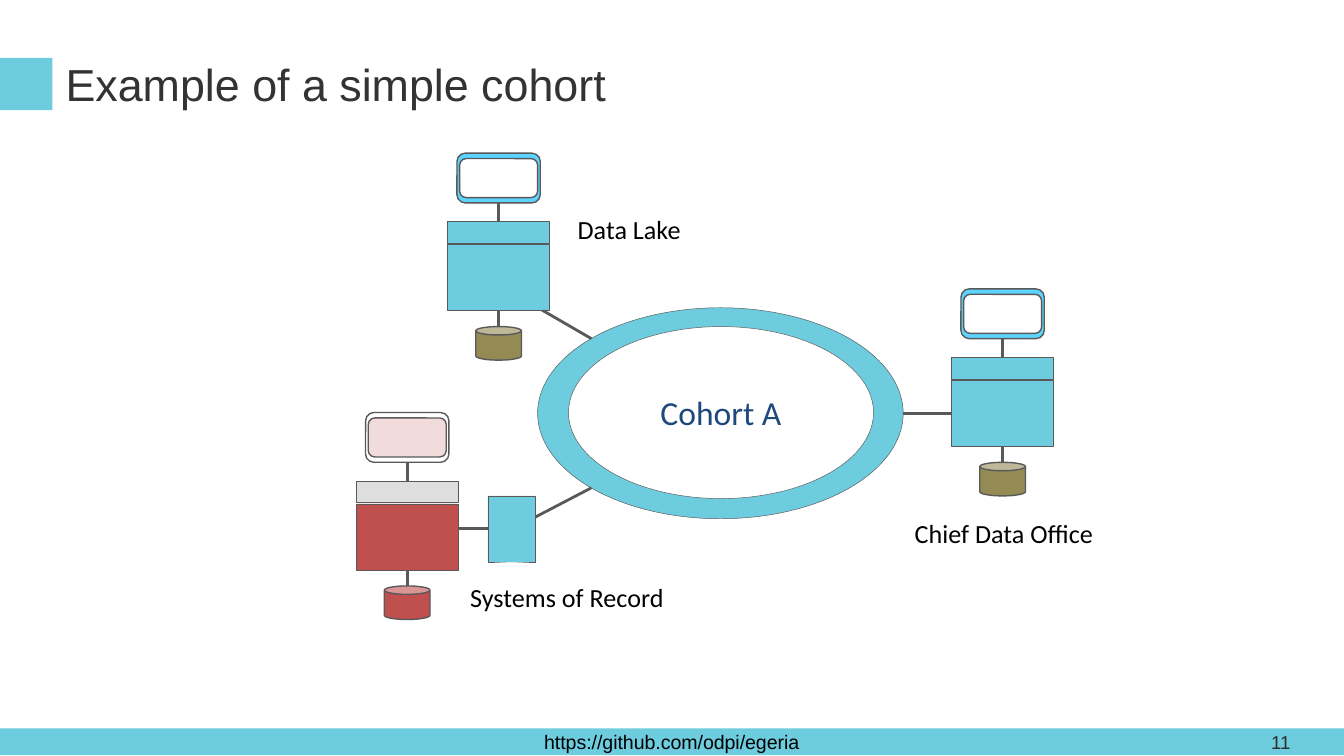
import pptx
import pptx.util
import pptx.dml.color
import pptx.enum.shapes
import pptx.enum.text
import pptx.oxml.ns
from lxml import etree

Inches = pptx.util.Inches
Pt = pptx.util.Pt
RGBColor = pptx.dml.color.RGBColor
KIND = pptx.enum.shapes.MSO_SHAPE
ALIGN = pptx.enum.text.PP_ALIGN
ANCHOR = pptx.enum.text.MSO_ANCHOR

TEAL = RGBColor(0x6D, 0xCC, 0xDE)
SKY = RGBColor(0x5D, 0xD4, 0xFF)
WHITE = RGBColor(0xFF, 0xFF, 0xFF)
BLACK = RGBColor(0, 0, 0)
GRAY = RGBColor(0x59, 0x59, 0x59)
SILVER = RGBColor(0xDE, 0xDE, 0xDE)
OLIVE = RGBColor(0x94, 0x8A, 0x54)
RED = RGBColor(0xC0, 0x50, 0x4D)
PINK = RGBColor(0xF2, 0xDC, 0xDB)
NAVY = RGBColor(0x1F, 0x49, 0x7D)
DARK = RGBColor(0x33, 0x33, 0x33)
INK = RGBColor(0x2C, 0x2C, 0x2C)

TITLE = "Example of a simple cohort"
FOOTER = "https://github.com/odpi/egeria"
NUMBER = "11"
COHORT = "Cohort A"
LABELS = [
    ("Chief Data Office", 6.64, 3.8, ALIGN.CENTER),
    ("Data Lake", 4.2, 1.54, ALIGN.LEFT),
    ("Systems of Record", 3.4, 4.28, ALIGN.LEFT),
]
LAKE = dict(left=3.33, top=1.14, frame=SKY, screen=WHITE, head=TEAL, body=TEAL, store=OLIVE)
OFFICE = dict(LAKE, left=7.08, top=2.15)
RECORD = dict(left=2.65, top=3.07, frame=WHITE, screen=PINK, head=SILVER, body=RED, store=RED)
LINKS = [((3.71, 2.12), (4.4, 2.52)), ((3.71, 3.99), (4.4, 3.63))]
WIDTH, DEPTH = 0.76, 0.49
RING = (4, 2.29, 2.72, 1.57)
PROXY = (3.63, 3.69, 0.35, DEPTH)

deck = pptx.Presentation()
deck.slide_width = Inches(10)
deck.slide_height = Inches(10) * 9 // 16
slide = deck.slides.add_slide(deck.slide_layouts[6])


def shape(kind, left, top, width, height, fill, line=None):
    item = slide.shapes.add_shape(kind, Inches(left), Inches(top), Inches(width), Inches(height))
    item.shadow.inherit = False
    item.fill.solid()
    item.fill.fore_color.rgb = fill
    if line:
        item.line.color.rgb = GRAY
        item.line.width = Pt(line)
    else:
        item.line.fill.background()
    return item


def box(left, top, width, height):
    return slide.shapes.add_textbox(Inches(left), Inches(top), Inches(width), Inches(height))


def write(item, text, size=14, font="Calibri", color=BLACK, align=ALIGN.LEFT,
          anchor=ANCHOR.TOP, inset=0.05):
    frame = item.text_frame
    frame.word_wrap = True
    frame.vertical_anchor = anchor
    frame.margin_top = frame.margin_bottom = Inches(inset)
    para = frame.paragraphs[0]
    para.alignment = align
    run = para.add_run()
    run.text = text
    run.font.size = Pt(size)
    run.font.name = font
    run.font.color.rgb = color


def link(start, end):
    wire = slide.shapes.add_connector(
        pptx.enum.shapes.MSO_CONNECTOR.STRAIGHT, *[Inches(n) for n in start + end])
    wire.line.color.rgb = GRAY
    wire.line.width = Pt(1.5)
    etree.SubElement(wire._element.spPr, pptx.oxml.ns.qn("a:effectLst"))
    return wire


def system(left, top, frame, screen, head, body, store):
    mid = left + WIDTH / 2
    outer = shape(KIND.ROUNDED_RECTANGLE, mid - 0.31, top, 0.62, 0.37, frame, 0.75)
    shape(KIND.ROUNDED_RECTANGLE, mid - 0.29, top + 0.04, 0.58, 0.29, screen, 0.75)
    main = shape(KIND.RECTANGLE, left, top + 0.68, WIDTH, DEPTH, body, 0.25)
    cap = shape(KIND.RECTANGLE, left, top + 0.51, WIDTH, 0.16, head, 0.25)
    shape(KIND.CAN, mid - 0.17, top + 1.29, 0.34, 0.25, store, 0.75)
    stem = link((mid, top + 0.51), (mid, top + 0.37))
    stem.begin_connect(cap, 0)
    stem.end_connect(outer, 2)
    foot = link((mid, top + 1.29), (mid, top + 1.17))
    foot.end_connect(main, 2)
    return main


footer = shape(KIND.RECTANGLE, 0, 5.42, 10, 0.2, TEAL)
write(footer, FOOTER, size=10.5, font="Arial", align=ALIGN.CENTER, anchor=ANCHOR.MIDDLE)
shape(KIND.RECTANGLE, 0, 0.43, 0.39, 0.39, TEAL)
write(box(0.39, 0.32, 9.27, 0.62), TITLE, size=24, font="Arial", color=DARK, inset=0.1)

shape(KIND.OVAL, *RING, TEAL, 0.25)
inner = shape(KIND.OVAL, 4.23, 2.43, 2.27, 1.28, WHITE, 0.25)
write(inner, COHORT, size=18, color=NAVY, align=ALIGN.CENTER, anchor=ANCHOR.MIDDLE)

for start, end in LINKS:
    link(start, end)
proxy = shape(KIND.RECTANGLE, *PROXY, TEAL, 0.25)
system(**LAKE)
office = system(**OFFICE)
system(**RECORD)
level = RING[1] + RING[3] / 2
link((RING[0] + RING[2], level), (OFFICE["left"], level)).end_connect(office, 1)
level = PROXY[1] + DEPTH / 2
link((RECORD["left"] + WIDTH, level), (PROXY[0], level)).end_connect(proxy, 1)

for text, left, top, align in LABELS:
    write(box(left, top, 1.66, 0.34), text, align=align)
write(box(9.36, 5.42, 0.6, 0.2), NUMBER, size=10, font="Arial", color=INK,
      anchor=ANCHOR.MIDDLE, inset=0.1)

deck.save("out.pptx")
